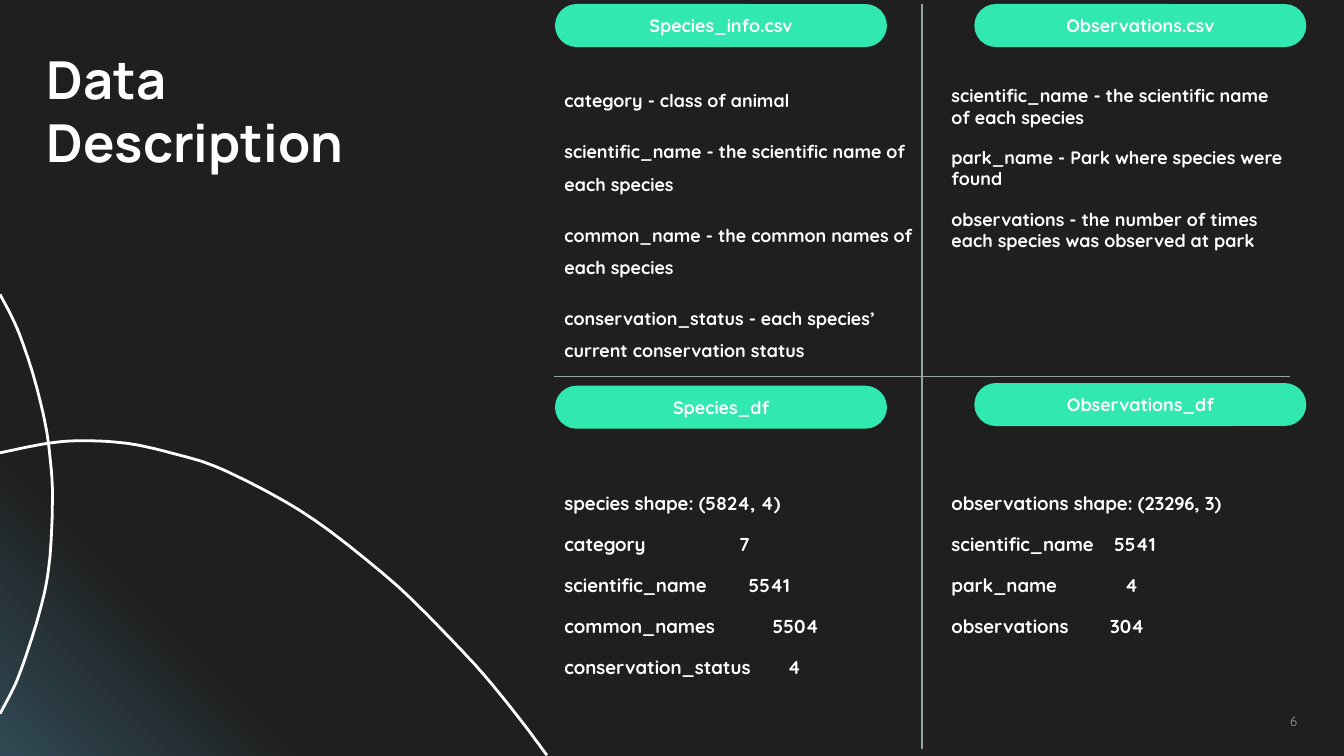
from lxml import etree
from pptx import Presentation
from pptx import util as u
from pptx.dml.color import RGBColor
from pptx.enum import shapes, text
from pptx.oxml.ns import qn

DARK = RGBColor(0x1F, 0x1F, 0x1F)
GLOW = RGBColor(0x30, 0x4A, 0x55)
WHITE = RGBColor(0xFF, 0xFF, 0xFF)
GREEN = RGBColor(0x30, 0xE8, 0xB0)
GREY = RGBColor(0x93, 0xA2, 0xA2)
WIDTH = 10
HEIGHT = WIDTH * 9 / 16
UNITS = 1000  # freeform units to the inch

# Points that the two background curves pass through
ARC = [(0, 2.19), (0.13, 2.45), (0.25, 2.8), (0.34, 3.17), (0.38, 3.48),
       (0.39, 3.7), (0.38, 4.03), (0.35, 4.31), (0.29, 4.57), (0.2, 4.86),
       (0.11, 5.1), (0, 5.31)]
HILL = [(0, 3.37), (0.35, 3.3), (0.62, 3.28), (0.95, 3.3), (1.27, 3.37),
        (1.6, 3.47), (2.01, 3.67), (2.34, 3.87), (2.67, 4.12), (3, 4.4),
        (3.33, 4.73), (3.6, 5.02), (3.86, 5.34), (4.07, 5.62)]

# Each file panel: heading, heading box, text box, line spacing, entries
FILES = [
    ("Species_info.csv", (4.13, 0.03), (4.2, 0.59, 2.61, 2.2), 1.5, [
        "category - class of animal",
        "scientific_name - the scientific name of each species",
        "common_name - the common names of each species",
        "conservation_status - each species’ current conservation status"]),
    ("Observations.csv", (7.25, 0.03), (7.08, 0.63, 2.5, 1.55), 1, [
        "scientific_name - the scientific name of each species",
        "park_name - Park where species were found",
        "observations - the number of times each species was observed at park"]),
]
# Each frame panel: heading, heading box, text box, shape line, (column, count, tab)
FRAMES = [
    ("Species_df", (4.13, 2.87), (4.2, 3.66, 2.27, 1.9),
     "species shape: (5824, 4)", [
        ("category", 7, 1.3), ("scientific_name", 5541, 1.37),
        ("common_names", 5504, 1.55), ("conservation_status", 4, 1.66)]),
    ("Observations_df", (7.25, 2.85), (7.08, 3.66, 2.27, 1.26),
     "observations shape: (23296, 3)", [
        ("scientific_name", 5541, 1.21), ("park_name", 4, 1.29),
        ("observations", 304, 1.18)]),
]


def inches(*lengths):
    return [u.Inches(length) for length in lengths]


def write(frame, lines, size, color=WHITE, font="Quicksand", bold=True,
          align=text.PP_ALIGN.LEFT, margin=0.0, spacing=1.0, tabs=()):
    frame.word_wrap = True
    frame.margin_left = frame.margin_right = u.Inches(margin)
    frame.margin_top = frame.margin_bottom = u.Inches(margin)
    for index, line in enumerate(lines):
        para = frame.add_paragraph() if index else frame.paragraphs[0]
        para.text = line
        para.alignment = align
        para.line_spacing = spacing
        if index:
            para.space_before = u.Pt(10)
        if index and tabs:
            stops = etree.SubElement(para._p.get_or_add_pPr(), qn("a:tabLst"))
            etree.SubElement(stops, qn("a:tab"), algn="l",
                             pos=str(u.Inches(tabs[index - 1])))
        for span in para.runs:
            span.font.size, span.font.name = u.Pt(size), font
            span.font.bold = bold
            span.font.color.rgb = color


def add_text(page, box, lines, size, **style):
    write(page.shapes.add_textbox(*inches(*box)).text_frame, lines, size, **style)


def smooth(points, steps=8):
    """Catmull-Rom curve through the points, in freeform units."""
    padded = [points[0], *points, points[-1]]
    curve = []
    for a, b, c, d in zip(padded, padded[1:], padded[2:], padded[3:]):
        for step in range(steps):
            t = step / steps
            curve.append(tuple(
                UNITS * (2 * q + (r - p) * t + (2 * p - 5 * q + 4 * r - s) * t ** 2
                         + (3 * q - p - 3 * r + s) * t ** 3) / 2
                for p, q, r, s in zip(a, b, c, d)))
    return curve + [tuple(UNITS * value for value in points[-1])]


def add_backdrop(page):
    page.background.fill.solid()
    page.background.fill.fore_color.rgb = DARK
    # Corner glow, fading out at the long side of the triangle
    side = 2.4
    glow = page.shapes.add_shape(shapes.MSO_SHAPE.RIGHT_TRIANGLE,
                                 *inches(0, HEIGHT - side, side, side))
    glow.shadow.inherit = False
    glow.line.fill.background()
    glow.fill.gradient()
    glow.fill.gradient_angle = 45
    for stop, color, place in zip(glow.fill.gradient_stops, (GLOW, DARK), (0, 0.48)):
        stop.color.rgb, stop.position = color, place
    # White curves
    for points in (ARC, HILL):
        start, *rest = smooth(points)
        builder = page.shapes.build_freeform(*start, scale=u.Inches(1) / UNITS)
        builder.add_line_segments(rest, close=False)
        curve = builder.convert_to_shape()
        curve.shadow.inherit = False
        curve.fill.background()
        curve.line.color.rgb, curve.line.width = WHITE, u.Pt(1.5)


def add_divider(page, start, end):
    line = page.shapes.add_connector(shapes.MSO_CONNECTOR.STRAIGHT,
                                     *inches(*start, *end))
    line.line.color.rgb, line.line.width = GREY, u.Pt(0.75)
    etree.SubElement(line._element.spPr, qn("a:effectLst"))


def add_heading(page, corner, label):
    pill = page.shapes.add_shape(shapes.MSO_SHAPE.ROUNDED_RECTANGLE,
                                 *inches(*corner, 2.47, 0.32))
    pill.adjustments[0] = 0.5
    pill.shadow.inherit = False
    pill.fill.solid()
    pill.fill.fore_color.rgb = GREEN
    pill.line.fill.background()
    pill.text_frame.vertical_anchor = text.MSO_ANCHOR.MIDDLE
    write(pill.text_frame, [label], 9.6, align=text.PP_ALIGN.CENTER, margin=0.12)


def add_file_panel(page, label, corner, box, spacing, entries):
    add_heading(page, corner, label)
    add_text(page, box, entries, 9.6, spacing=spacing)


def add_frame_panel(page, label, corner, box, summary, columns):
    add_heading(page, corner, label)
    lines = [summary] + [f"{name}\t{count}" for name, count, _ in columns]
    add_text(page, box, lines, 10, tabs=[tab for *_, tab in columns])


def main():
    deck = Presentation()
    deck.slide_width, deck.slide_height = inches(WIDTH, HEIGHT)
    page = deck.slides.add_slide(deck.slide_layouts[6])
    add_backdrop(page)
    # Page number and title
    add_text(page, (7.35, 5.25, 2.4, 0.32), ["6"], 7, color=GREY, bold=False,
             align=text.PP_ALIGN.RIGHT, margin=0.1)
    add_text(page, (0.25, 0.25, 2.61, 1.14), ["Data Description"], 28,
             font="Manrope", margin=0.1)
    # Dividers between the four panels
    add_divider(page, (6.86, 0.03), (6.86, 5.57))
    add_divider(page, (4.12, 2.8), (9.6, 2.8))
    for panel in FILES:
        add_file_panel(page, *panel)
    for panel in FRAMES:
        add_frame_panel(page, *panel)
    deck.save("out.pptx")


if __name__ == "__main__":
    main()
